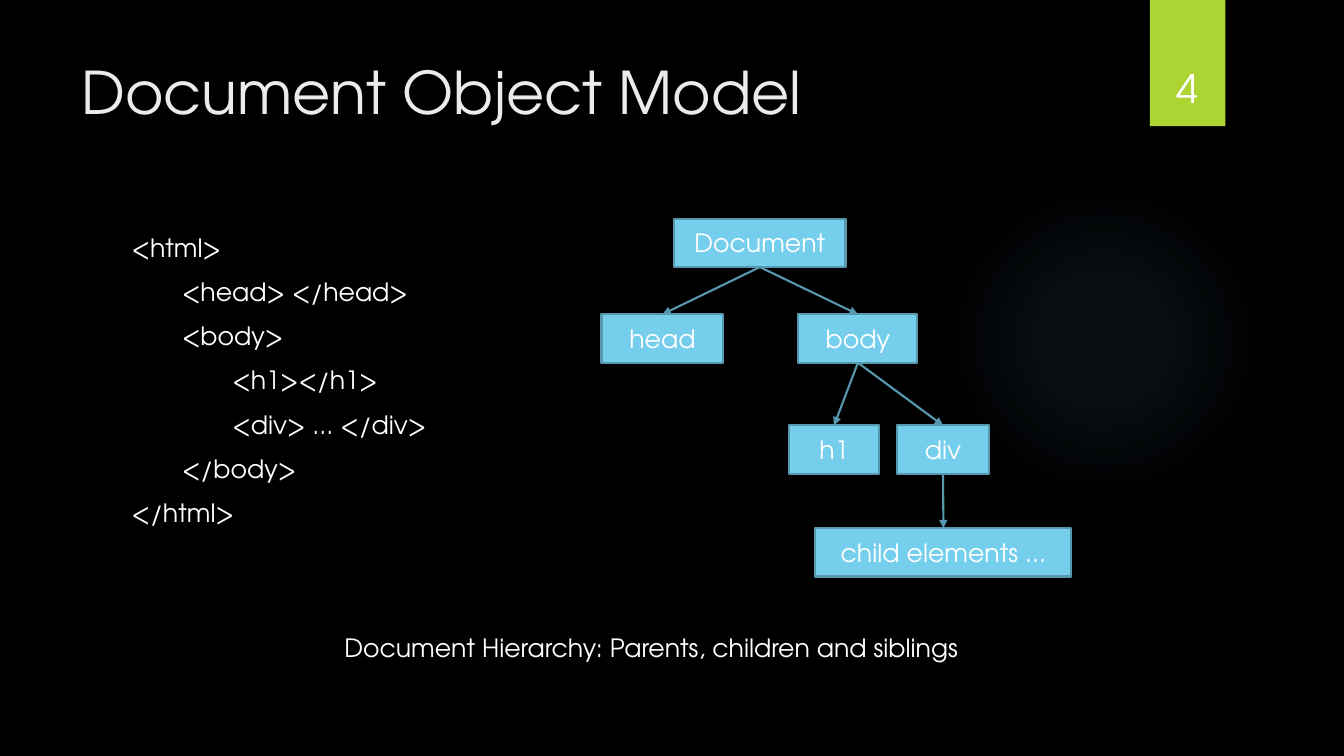
"""Slide on the Document Object Model: markup beside its element tree."""
from dataclasses import dataclass
from typing import Any, Optional

from lxml import etree
from pptx import Presentation
from pptx import util as u
from pptx.dml import color as dml
from pptx.enum import shapes, text
from pptx.oxml import ns

Box = tuple[float, float, float, float]


@dataclass(frozen=True)
class Theme:
    """Colours, font and type sizes of the slide."""
    font: str = "TeX Gyre Adventor"
    background: str = "000000"
    heading: str = "EBEBEB"
    body: str = "FFFFFF"
    accent: str = "ACD433"
    glow: str = "7AC4F0"
    node: str = "75CEEC"
    edge: str = "5798AF"
    title_size: float = 42
    number_size: float = 28
    body_size: float = 18
    edge_width: float = 1.5


@dataclass(frozen=True)
class Node:
    """One element of the tree, placed in centimetres."""
    label: str
    left: float
    top: float
    width: float
    parent: Optional[str] = None


@dataclass(frozen=True)
class Label:
    """A text box with its lines and type."""
    lines: tuple[str, ...]
    box: Box
    size: float
    color: str
    align: text.PP_ALIGN = text.PP_ALIGN.LEFT
    anchor: text.MSO_ANCHOR = text.MSO_ANCHOR.TOP
    wrap: bool = True
    fit: text.MSO_AUTO_SIZE = text.MSO_AUTO_SIZE.NONE


THEME = Theme()
NODE_HEIGHT = 1.22
TAB_STEP = 1.27
LINE_GAP = 10
TOP_SITE, BOTTOM_SITE = 0, 2
GLOW_BOX: Box = (23.9, 4.65, 7.82, 7.82)
GLOW_STOPS = ((0, 7), (36, 6), (69, 0))
NUMBER_TAB_BOX: Box = (28.98, 0, 1.9, 3.18)

MARKUP = (
    "<html>",
    "\t<head> </head>",
    "\t<body>",
    "\t\t<h1></h1>",
    "\t\t<div> ... </div>",
    "\t</body>",
    "</html>",
)

LABELS = (
    Label(("Document Object Model",), (1.8, 1.27, 26.14, 3.89),
          THEME.title_size, THEME.heading),
    Label(MARKUP, (3.07, 5.72, 12.22, 11.66), THEME.body_size, THEME.body),
    Label(("4",), (28.75, 0.81, 2.34, 2.13), THEME.number_size, THEME.body,
          align=text.PP_ALIGN.CENTER, anchor=text.MSO_ANCHOR.BOTTOM),
    Label(("Document Hierarchy: Parents, children and siblings",),
          (8.43, 15.82, 16.26, 1.02), THEME.body_size, THEME.body,
          wrap=False, fit=text.MSO_AUTO_SIZE.SHAPE_TO_FIT_TEXT),
)

NODES = (
    Node("Document", 16.99, 5.51, 4.32),
    Node("head", 15.16, 7.92, 3.07, "Document"),
    Node("body", 20.12, 7.92, 3.0, "Document"),
    Node("h1", 19.89, 10.72, 2.26, "body"),
    Node("div", 22.61, 10.72, 2.31, "body"),
    Node("child elements ...", 20.55, 13.31, 6.45, "div"),
)


def rgb(value: str) -> dml.RGBColor:
    """Turn a hex string into a colour."""
    return dml.RGBColor.from_string(value)


def apply(target: Any, values: dict[str, Any]) -> None:
    """Set each named attribute on the target."""
    for name, value in values.items():
        setattr(target, name, value)


def add_child(parent: Any, tag: str, **attributes: Any) -> Any:
    """Append a drawing element with the given attributes."""
    return etree.SubElement(parent, ns.qn(tag),
                            {key: str(value) for key, value in attributes.items()})


def write(frame: Any, lines: tuple[str, ...], size: float, color: str,
          align: text.PP_ALIGN) -> None:
    """Fill a text frame, one paragraph a line."""
    for index, line in enumerate(lines):
        paragraph = frame.add_paragraph() if index else frame.paragraphs[0]
        apply(paragraph, {"alignment": align,
                          "space_before": u.Pt(LINE_GAP if index else 0)})
        depth = line.count("\t")
        if depth:
            stops = add_child(paragraph._p.get_or_add_pPr(), "a:tabLst")
            for level in range(1, depth + 1):
                add_child(stops, "a:tab", pos=u.Cm(level * TAB_STEP), algn="l")
        run = paragraph.add_run()
        run.text = line
        apply(run.font, {"name": THEME.font, "size": u.Pt(size)})
        run.font.color.rgb = rgb(color)


def draw_label(slide: Any, label: Label) -> None:
    """Draw one text box."""
    frame = slide.shapes.add_textbox(*map(u.Cm, label.box)).text_frame
    apply(frame, {"word_wrap": label.wrap, "auto_size": label.fit,
                  "vertical_anchor": label.anchor})
    write(frame, label.lines, label.size, label.color, label.align)


def draw_shape(slide: Any, kind: shapes.MSO_SHAPE, box: Box, fill: str) -> Any:
    """Draw a flat filled shape without outline."""
    shape = slide.shapes.add_shape(kind, *map(u.Cm, box))
    shape.shadow.inherit = False
    shape.fill.solid()
    shape.fill.fore_color.rgb = rgb(fill)
    shape.line.fill.background()
    return shape


def draw_glow(slide: Any) -> None:
    """Draw the faint round glow that fades outwards."""
    glow = draw_shape(slide, shapes.MSO_SHAPE.OVAL, GLOW_BOX, THEME.glow)
    properties = glow.element.spPr
    solid = properties.find(ns.qn("a:solidFill"))
    gradient = add_child(properties, "a:gradFill", rotWithShape=1)
    stops = add_child(gradient, "a:gsLst")
    for position, opacity in GLOW_STOPS:
        stop = add_child(stops, "a:gs", pos=position * 1000)
        tint = add_child(stop, "a:srgbClr", val=THEME.glow)
        add_child(tint, "a:alpha", val=opacity * 1000)
    fade = add_child(gradient, "a:path", path="circle")
    add_child(fade, "a:fillToRect", **dict.fromkeys("ltrb", 50000))
    properties.replace(solid, gradient)


def style_edge(line: Any) -> None:
    """Give a line the edge colour and width."""
    line.color.rgb = rgb(THEME.edge)
    line.width = u.Pt(THEME.edge_width)


def draw_node(slide: Any, node: Node) -> Any:
    """Draw one labelled box of the tree."""
    box = (node.left, node.top, node.width, NODE_HEIGHT)
    shape = draw_shape(slide, shapes.MSO_SHAPE.RECTANGLE, box, THEME.node)
    style_edge(shape.line)
    apply(shape.text_frame, {"word_wrap": True,
                             "vertical_anchor": text.MSO_ANCHOR.MIDDLE})
    write(shape.text_frame, (node.label,), THEME.body_size, THEME.body,
          text.PP_ALIGN.CENTER)
    return shape


def draw_edge(slide: Any, parent: Any, child: Any) -> None:
    """Draw an arrow from a parent box down to its child."""
    edge = slide.shapes.add_connector(shapes.MSO_CONNECTOR.STRAIGHT, 0, 0, 0, 0)
    edge.begin_connect(parent, BOTTOM_SITE)
    edge.end_connect(child, TOP_SITE)
    style_edge(edge.line)
    properties = edge.element.spPr
    add_child(properties.find(ns.qn("a:ln")), "a:tailEnd", type="triangle")
    add_child(properties, "a:effectLst")


def main() -> None:
    """Build the slide and save it."""
    deck = Presentation()
    apply(deck, {"slide_width": u.Cm(33.87), "slide_height": u.Cm(19.05)})
    slide = deck.slides.add_slide(deck.slide_layouts[6])
    slide.background.fill.solid()
    slide.background.fill.fore_color.rgb = rgb(THEME.background)
    draw_glow(slide)
    draw_shape(slide, shapes.MSO_SHAPE.RECTANGLE, NUMBER_TAB_BOX, THEME.accent)
    for label in LABELS:
        draw_label(slide, label)
    boxes = {node.label: draw_node(slide, node) for node in NODES}
    for node in NODES:
        if node.parent:
            draw_edge(slide, boxes[node.parent], boxes[node.label])
    deck.save("out.pptx")


if __name__ == "__main__":
    main()
